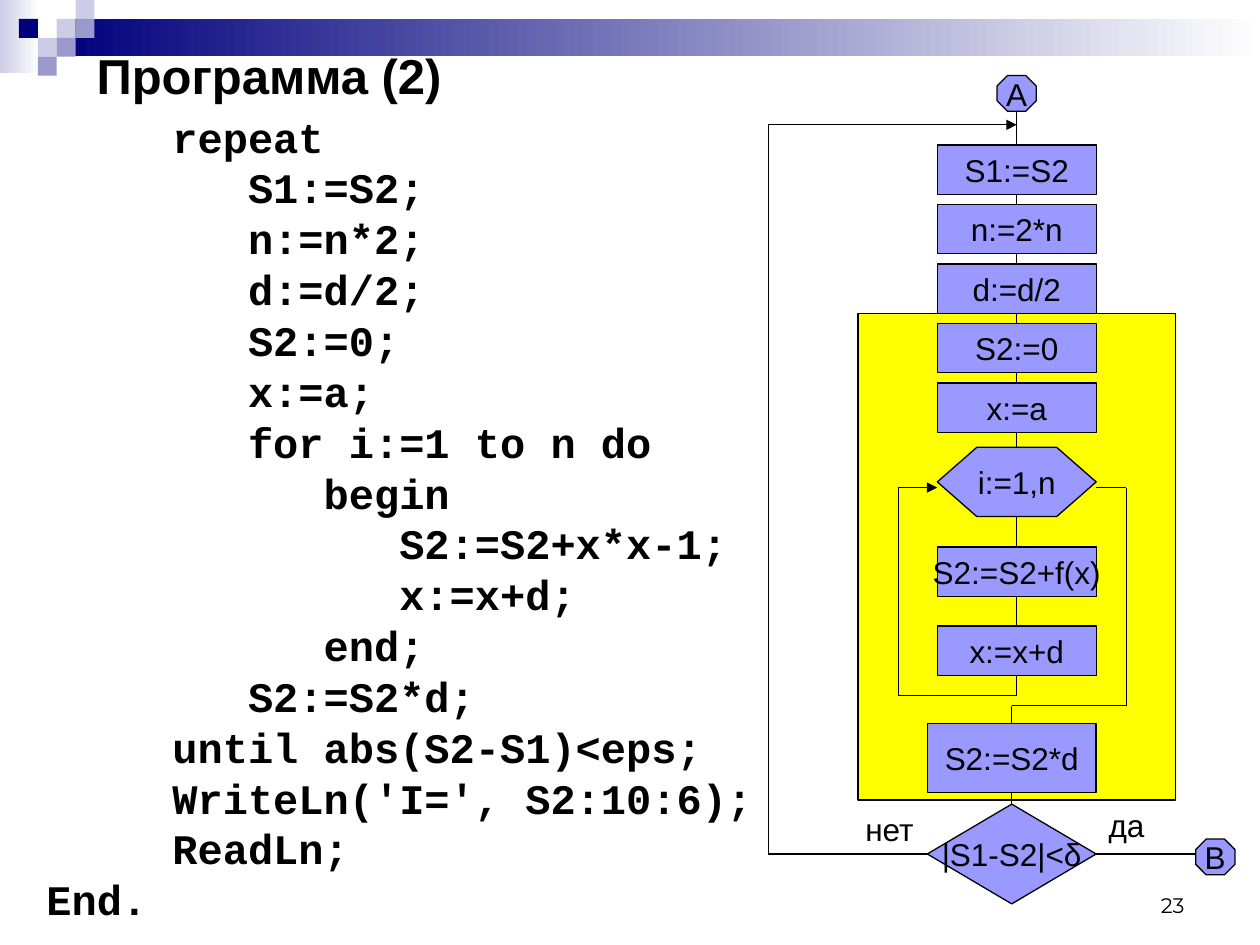
from dataclasses import dataclass
from itertools import pairwise
from typing import Optional

from lxml.etree import SubElement
from pptx import Presentation
from pptx.dml.color import RGBColor
from pptx.enum.shapes import MSO_CONNECTOR, MSO_SHAPE
from pptx.enum.text import MSO_ANCHOR, PP_ALIGN
from pptx.oxml.ns import qn
from pptx.shapes.autoshape import Shape
from pptx.slide import Slide
from pptx.text.text import TextFrame
from pptx.util import Pt

BLACK = RGBColor(0x00, 0x00, 0x00)
WHITE = RGBColor(0xFF, 0xFF, 0xFF)
NAVY = RGBColor(0x00, 0x00, 0x7D)
LAVENDER = RGBColor(0xCC, 0xCC, 0xE6)
DUSTY_BLUE = RGBColor(0x99, 0x99, 0xCC)
NODE_BLUE = RGBColor(0x99, 0x99, 0xFF)
YELLOW = RGBColor(0xFF, 0xFF, 0x00)

TOP, LEFT, BOTTOM, RIGHT = range(4)
SIDE_FRACTIONS = {TOP: (0.5, 0), LEFT: (0, 0.5), BOTTOM: (0.5, 1), RIGHT: (1, 0.5)}
AXIS, STEP_WIDTH, STEP_HEIGHT = 581, 90.8, 28.2
RETURN_Y, ENTRY_X = 488, 439
TILE = 10.8

CODE = """     repeat
        S1:=S2;
        n:=n*2;
        d:=d/2;
        S2:=0;
        x:=a;
        for i:=1 to n do
           begin
              S2:=S2+x*x-1;
              x:=x+d;
           end;
        S2:=S2*d;
     until abs(S2-S1)<eps;
     WriteLn('I=', S2:10:6);
     ReadLn;
End."""


@dataclass(frozen=True)
class Area:
    left: float
    top: float
    width: float
    height: float


@dataclass(frozen=True)
class Style:
    size: float = 18
    font: str = "Arial"
    bold: bool = False
    align: PP_ALIGN = PP_ALIGN.LEFT
    anchor: MSO_ANCHOR = MSO_ANCHOR.TOP
    line_spacing: float = 1.0
    space_before: float = 0


@dataclass(frozen=True)
class Port:
    x: float
    y: float
    box: Optional[Shape] = None
    side: int = TOP


NODE_STYLE = Style(align=PP_ALIGN.CENTER, anchor=MSO_ANCHOR.MIDDLE)


def write(frame: TextFrame, text: str, style: Style) -> None:
    frame.vertical_anchor = style.anchor
    for index, line in enumerate(text.split("\n")):
        para = frame.add_paragraph() if index else frame.paragraphs[0]
        para.alignment = style.align
        para.line_spacing = style.line_spacing
        para.space_before = Pt(style.space_before if index else 0)
        span = para.add_run()
        span.text = line
        span.font.name = style.font
        span.font.size = Pt(style.size)
        span.font.bold = style.bold
        span.font.color.rgb = BLACK


def add_text(page: Slide, area: Area, text: str, style: Style) -> None:
    box = page.shapes.add_textbox(Pt(area.left), Pt(area.top), Pt(area.width), Pt(area.height))
    box.text_frame.word_wrap = True
    write(box.text_frame, text, style)


def add_box(page: Slide, area: Area, color: RGBColor, kind: MSO_SHAPE = MSO_SHAPE.RECTANGLE,
            outlined: bool = False) -> Shape:
    box = page.shapes.add_shape(kind, Pt(area.left), Pt(area.top), Pt(area.width), Pt(area.height))
    box.shadow.inherit = False
    box.fill.solid()
    box.fill.fore_color.rgb = color
    if outlined:
        box.line.color.rgb = BLACK
        box.line.width = Pt(0.75)
    else:
        box.line.fill.background()
    return box


def add_fade(page: Slide, area: Area, color: RGBColor) -> None:
    box = add_box(page, area, color)
    box.fill.gradient()
    box.fill.gradient_angle = 0
    for stop, shade in zip(box.fill.gradient_stops, (color, WHITE)):
        stop.color.rgb = shade


def add_node(page: Slide, area: Area, text: str, kind: MSO_SHAPE = MSO_SHAPE.RECTANGLE) -> Shape:
    box = add_box(page, area, NODE_BLUE, kind, outlined=True)
    box.text_frame.word_wrap = False
    write(box.text_frame, text, NODE_STYLE)
    return box


def add_step(page: Slide, top: float, text: str) -> Shape:
    return add_node(page, Area(AXIS - STEP_WIDTH / 2, top, STEP_WIDTH, STEP_HEIGHT), text)


def port(box: Shape, side: int) -> Port:
    across, down = SIDE_FRACTIONS[side]
    return Port((box.left + box.width * across) / Pt(1),
                (box.top + box.height * down) / Pt(1), box, side)


def add_route(page: Slide, *stops: Port, arrow: bool = False) -> None:
    for start, end in pairwise(stops):
        line = page.shapes.add_connector(MSO_CONNECTOR.STRAIGHT, Pt(start.x), Pt(start.y),
                                         Pt(end.x), Pt(end.y))
        if start.box is not None:
            line.begin_connect(start.box, start.side)
        if end.box is not None:
            line.end_connect(end.box, end.side)
        line.line.color.rgb = BLACK
        line.line.width = Pt(0.75)
        properties = line._element.spPr
        if arrow and end is stops[-1]:
            SubElement(properties.find(qn("a:ln")), qn("a:tailEnd"), type="triangle")
        SubElement(properties, qn("a:effectLst"))


def draw_banner(page: Slide) -> None:
    add_fade(page, Area(0, 0, 22.3, 41.8), LAVENDER)
    add_fade(page, Area(32.4, TILE, 687.6, 21.4), NAVY)
    tiles = ((3, 1, LAVENDER), (4, 0, LAVENDER), (4, 1, DUSTY_BLUE), (2, 2, LAVENDER),
             (1, 1, NAVY), (3, 2, DUSTY_BLUE), (2, 3, DUSTY_BLUE))
    for column, row, color in tiles:
        add_box(page, Area(column * TILE, row * TILE, TILE, TILE), color)


def draw_flowchart(page: Slide) -> None:
    add_box(page, Area(490.3, 179.3, 181.4, 277.9), YELLOW, outlined=True)
    add_node(page, Area(AXIS - 11.2, 43.2, 22.4, 20.4), "A", MSO_SHAPE.OCTAGON)
    labels = ("S1:=S2", "n:=2*n", "d:=d/2", "S2:=0", "x:=a")
    steps = [add_step(page, 82.8 + 34 * index, label) for index, label in enumerate(labels)]
    loop = add_node(page, Area(AXIS - STEP_WIDTH / 2, 255.6, STEP_WIDTH, 39.6), "i:=1,n",
                    MSO_SHAPE.HEXAGON)
    loop.adjustments[0] = 0.57
    body = [add_step(page, top, label) for top, label in ((312.5, "S2:=S2+f(x)"), (357.8, "x:=x+d"))]
    result = add_node(page, Area(529.9, 413.3, 96.5, 39.6), "S2:=S2*d")
    check = add_node(page, Area(529.9, 459.5, 96.5, 57), "|S1-S2|<δ", MSO_SHAPE.DIAMOND)
    add_node(page, Area(683.3, 479.5, 22.4, 20.4), "B", MSO_SHAPE.OCTAGON)

    add_route(page, Port(AXIS, 63.6), port(steps[0], TOP))
    for upper, lower in (*pairwise(steps), body, (result, check)):
        add_route(page, port(upper, BOTTOM), port(lower, TOP))
    add_route(page, port(steps[-1], BOTTOM), Port(AXIS, 255.6))
    add_route(page, Port(AXIS, 295.2), port(body[0], TOP))
    add_route(page, port(body[1], BOTTOM), Port(AXIS, 397.4), Port(513.4, 397.4),
              Port(513.4, 278.6), Port(535.6, 278.6), arrow=True)
    result_top = port(result, TOP)
    add_route(page, Port(626.4, 278.6), Port(643.7, 278.6), Port(643.7, 403.2),
              Port(result_top.x, 403.2), result_top)
    add_route(page, port(check, RIGHT), Port(683.3, RETURN_Y))
    add_route(page, port(check, LEFT), Port(ENTRY_X, RETURN_Y), Port(ENTRY_X, 71.3),
              Port(AXIS, 71.3), arrow=True)
    add_text(page, Area(626.4, 457.2, 37.4, 28.8), "да", Style())
    add_text(page, Area(487.4, 459.4, 49.7, 28.8), "нет", Style())


def main() -> None:
    """Build the slide with the program listing and its flowchart."""
    deck = Presentation()
    deck.slide_width, deck.slide_height = Pt(720), Pt(540)
    page = deck.slides.add_slide(deck.slide_layouts[6])
    draw_banner(page)
    add_text(page, Area(516.2, 491.8, 167.8, 36), "23",
             Style(12, "Montserrat", align=PP_ALIGN.RIGHT, anchor=MSO_ANCHOR.BOTTOM))
    add_text(page, Area(48.2, 31.7, 652.3, 22.3), "Программа (2)",
             Style(28, bold=True, anchor=MSO_ANCHOR.MIDDLE))
    add_text(page, Area(19.4, 65.5, 680.4, 474.5), CODE,
             Style(24, "Courier New", bold=True, line_spacing=0.8, space_before=6))
    draw_flowchart(page)
    deck.save("out.pptx")


if __name__ == "__main__":
    main()
